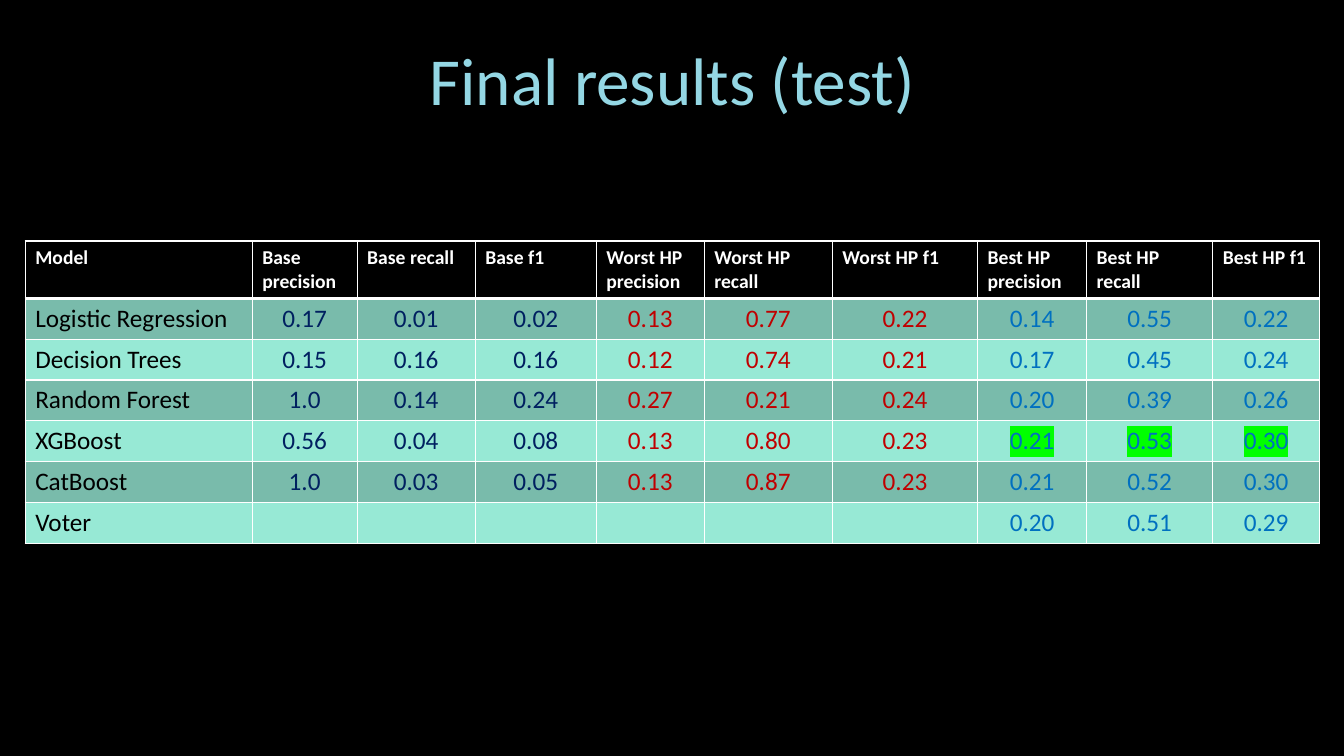
from dataclasses import dataclass

from lxml.etree import SubElement
from pptx import Presentation
from pptx.dml.color import RGBColor
from pptx.enum.text import MSO_ANCHOR, PP_ALIGN
from pptx.oxml import parse_xml
from pptx.oxml.ns import nsdecls, qn
from pptx.util import Inches, Pt


@dataclass(frozen=True)
class Theme:
    """Colours, type sizes and line widths of the slide."""
    font: str = "Calibri"
    background: str = "000000"
    header_text: str = "FFFFFF"
    model_text: str = "000000"
    base: str = "002060"
    worst: str = "C00000"
    best: str = "0070C0"
    highlight: str = "00FF00"
    bands: tuple = ("79BBAB", "97E9D5")
    border: str = "FFFFFF"
    title_stops: tuple = ((0, "9FDBE7"), (15, "94D7E4"), (73, "BFE7EF"), (100, "FFFFFF"))
    title_size: int = 48
    header_size: int = 14
    body_size: int = 18
    border_width: int = 1
    header_rule: int = 2


THEME = Theme()
COLUMN_WIDTHS = (2.25, 1.04, 1.17, 1.2, 1.07, 1.27, 1.44, 1.08, 1.25, 1.06)
HEADER_HEIGHT = 0.57
MEASURES = ("precision", "recall", "f1")
STAGES = (("Base", THEME.base), ("Worst HP", THEME.worst), ("Best HP", THEME.best))
HEADINGS = ["Model"] + [f"{stage} {measure}" for stage, _ in STAGES for measure in MEASURES]
SCORE_COLOURS = [colour for _, colour in STAGES for _ in MEASURES]
RESULTS = (
    ("Logistic Regression", "0.17", "0.01", "0.02", "0.13", "0.77", "0.22", "0.14", "0.55", "0.22"),
    ("Decision Trees", "0.15", "0.16", "0.16", "0.12", "0.74", "0.21", "0.17", "0.45", "0.24"),
    ("Random Forest", "1.0", "0.14", "0.24", "0.27", "0.21", "0.24", "0.20", "0.39", "0.26"),
    ("XGBoost", "0.56", "0.04", "0.08", "0.13", "0.80", "0.23", "0.21", "0.53", "0.30"),
    ("CatBoost", "1.0", "0.03", "0.05", "0.13", "0.87", "0.23", "0.21", "0.52", "0.30"),
    ("Voter", "", "", "", "", "", "", "0.20", "0.51", "0.29"),
)
WINNER = "XGBoost"


def write(frame, text, size, colour=None, bold=False, align=PP_ALIGN.LEFT,
          highlight=None, gradient=None):
    """Put formatted text in a frame and return its paragraph."""
    paragraph = frame.paragraphs[0]
    paragraph.alignment = align
    run = paragraph.add_run()
    run.text = text
    run.font.size = Pt(size)
    run.font.bold = bold
    properties = run.font._element
    if gradient:
        stops = "".join(f'<a:gs pos="{position * 1000}"><a:srgbClr val="{stop}"/></a:gs>'
                        for position, stop in gradient)
        properties.append(parse_xml(
            f'<a:gradFill {nsdecls("a")}><a:gsLst>{stops}</a:gsLst>'
            '<a:lin ang="16200000" scaled="0"/></a:gradFill>'))
    else:
        run.font.color.rgb = RGBColor.from_string(colour)
    if highlight:
        SubElement(SubElement(properties, qn("a:highlight")), qn("a:srgbClr"), val=highlight)
    run.font.name = THEME.font
    return paragraph


def style_cell(cell, fill, top, bottom):
    """Give a cell its borders and fill."""
    properties = cell._tc.get_or_add_tcPr()
    sides = {"L": THEME.border_width, "R": THEME.border_width, "T": top, "B": bottom}
    for side, width in sides.items():
        properties.append(parse_xml(
            f'<a:ln{side} {nsdecls("a")} w="{Pt(width)}"><a:solidFill>'
            f'<a:srgbClr val="{THEME.border}"/></a:solidFill></a:ln{side}>'))
    cell.fill.solid()
    cell.fill.fore_color.rgb = RGBColor.from_string(fill)


def add_title(slide, left, top, width, height):
    """Place the slide title at the bottom of its box."""
    frame = slide.shapes.add_textbox(
        Inches(left), Inches(top), Inches(width), Inches(height)).text_frame
    frame.word_wrap = True
    frame.vertical_anchor = MSO_ANCHOR.BOTTOM
    paragraph = write(frame, "Final results (test)", THEME.title_size,
                      align=PP_ALIGN.CENTER, gradient=THEME.title_stops)
    paragraph.line_spacing = 0.9
    paragraph.space_before = Pt(10)


def add_results(slide, left, top, width, height):
    """Place the table of scores in its box."""
    table = slide.shapes.add_table(
        len(RESULTS) + 1, len(HEADINGS),
        Inches(left), Inches(top), Inches(width), Inches(height)).table
    scale = width / sum(COLUMN_WIDTHS)
    for column, share in zip(table.columns, COLUMN_WIDTHS):
        column.width = Inches(share * scale)
    for row in table.rows:
        row.height = Inches((height - HEADER_HEIGHT) / len(RESULTS))
    table.rows[0].height = Inches(HEADER_HEIGHT)

    for index, heading in enumerate(HEADINGS):
        cell = table.cell(0, index)
        style_cell(cell, THEME.background, THEME.border_width, THEME.header_rule)
        write(cell.text_frame, heading, THEME.header_size, THEME.header_text, bold=True)

    for number, (model, *scores) in enumerate(RESULTS, start=1):
        rule = THEME.header_rule if number == 1 else THEME.border_width
        for cell in table.rows[number].cells:
            style_cell(cell, THEME.bands[(number - 1) % 2], rule, THEME.border_width)
        write(table.cell(number, 0).text_frame, model, THEME.body_size, THEME.model_text)
        for index, (score, colour) in enumerate(zip(scores, SCORE_COLOURS), start=1):
            if score:
                best = model == WINNER and colour == THEME.best
                write(table.cell(number, index).text_frame, score, THEME.body_size, colour,
                      align=PP_ALIGN.CENTER, highlight=THEME.highlight if best else None)


def main():
    """Build and save the slide."""
    presentation = Presentation()
    presentation.slide_width = Inches(13.33)
    presentation.slide_height = Inches(7.5)
    slide = presentation.slides.add_slide(presentation.slide_layouts[6])
    slide.background.fill.solid()
    slide.background.fill.fore_color.rgb = RGBColor.from_string(THEME.background)
    add_title(slide, 1.67, 0.42, 10, 0.82)
    add_results(slide, 0.25, 2.39, 12.84, 3)
    presentation.save("out.pptx")


if __name__ == "__main__":
    main()
